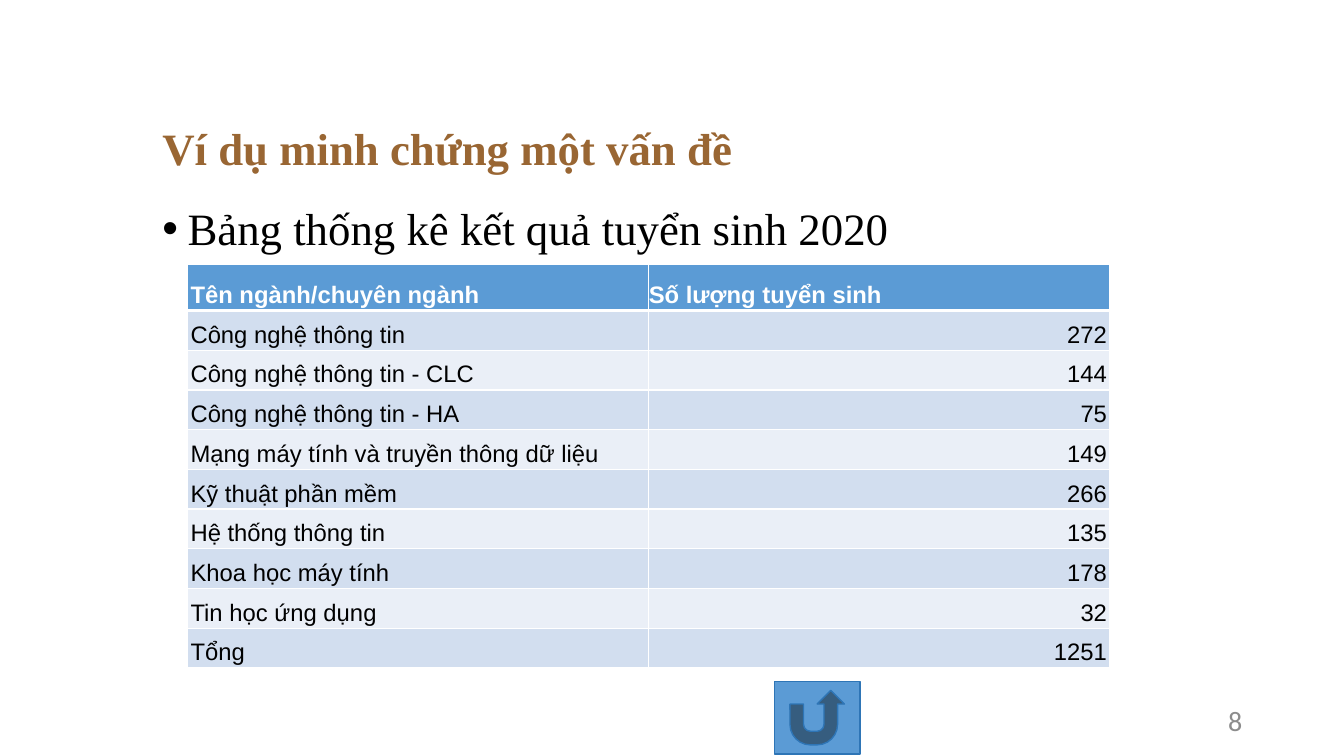
from collections import namedtuple
from dataclasses import dataclass

from lxml.etree import SubElement
from pptx import Presentation
from pptx.dml.color import RGBColor
from pptx.enum.shapes import MSO_SHAPE as Shape
from pptx.enum.text import MSO_ANCHOR as Anchor, MSO_AUTO_SIZE as AutoSize, PP_ALIGN as Align
from pptx.oxml.ns import qn
from pptx.util import Inches, Pt

Box = namedtuple("Box", "left top width height")


@dataclass(frozen=True)
class Theme:
    heading: str = "996633"
    text: str = "000000"
    white: str = "FFFFFF"
    accent: str = "5B9BD5"
    accent_line: str = "2E75B6"
    bands: tuple = ("D2DEEF", "EAEFF7")
    muted: str = "8C8C8C"
    serif: str = "Times New Roman"
    table_font: str = "Arial"
    number_font: str = "Calibri"
    large: int = 32
    table_size: int = 17
    number_size: int = 20


THEME = Theme()
ENROLMENT = [
    ("Tên ngành/chuyên ngành", "Số lượng tuyển sinh"),
    ("Công nghệ thông tin", "272"),
    ("Công nghệ thông tin - CLC", "144"),
    ("Công nghệ thông tin - HA", "75"),
    ("Mạng máy tính và truyền thông dữ liệu", "149"),
    ("Kỹ thuật phần mềm", "266"),
    ("Hệ thống thông tin", "135"),
    ("Khoa học máy tính", "178"),
    ("Tin học ứng dụng", "32"),
    ("Tổng", "1251"),
]


def inches(box):
    return [Inches(length) for length in box]


def rgb(color):
    return RGBColor.from_string(color)


def write(text_frame, text, font_name, size, color, bold=False, align=Align.LEFT):
    """Fill a text frame with one formatted paragraph and return it."""
    text_frame.text = text
    paragraph = text_frame.paragraphs[0]
    paragraph.alignment = align
    font = paragraph.runs[0].font
    font.name, font.size, font.bold = font_name, Pt(size), bold
    font.color.rgb = rgb(color)
    return paragraph


def place(shape, box):
    shape.left, shape.top, shape.width, shape.height = inches(box)
    shape.text_frame.auto_size = AutoSize.NONE


def add_title(slide, box, text):
    title = slide.shapes.title
    place(title, box)
    title.text_frame.vertical_anchor = Anchor.MIDDLE
    paragraph = write(title.text_frame, text, THEME.serif, THEME.large, THEME.heading, True)
    paragraph.line_spacing = 0.9


def add_bullet(slide, box, text):
    body = slide.placeholders[1]
    place(body, box)
    paragraph = write(body.text_frame, text, THEME.serif, THEME.large, THEME.text)
    paragraph.line_spacing = 0.9
    paragraph.space_before = Pt(10)
    properties = paragraph._p.get_or_add_pPr()
    properties.set("marL", str(Inches(0.25)))
    properties.set("indent", str(Inches(-0.25)))
    SubElement(properties, qn("a:buFont"), typeface="Arial")
    SubElement(properties, qn("a:buChar"), char="•")


def set_borders(cell, top, bottom):
    properties = cell._tc.get_or_add_tcPr()
    for side, width in (("L", 1), ("R", 1), ("T", top), ("B", bottom)):
        line = SubElement(properties, qn(f"a:ln{side}"), w=str(Pt(width)))
        fill = SubElement(line, qn("a:solidFill"))
        SubElement(fill, qn("a:srgbClr"), val=THEME.white)


def format_cell(cell, text, row, column):
    header = row == 0
    set_borders(cell, top=3 if row == 1 else 1, bottom=3 if header else 1)
    cell.fill.solid()
    cell.fill.fore_color.rgb = rgb(THEME.accent if header else THEME.bands[(row - 1) % 2])
    cell.vertical_anchor = Anchor.BOTTOM
    side_margin = 0 if header and column else 0.03
    cell.margin_left = cell.margin_right = Inches(side_margin)
    cell.margin_top = cell.margin_bottom = Inches(0.02)
    write(cell.text_frame, text, THEME.table_font, THEME.table_size,
          THEME.white if header else THEME.text, header,
          Align.RIGHT if column and not header else Align.LEFT)


def add_enrolment_table(slide, box, records, header_height=0.46):
    columns = len(records[0])
    table = slide.shapes.add_table(len(records), columns, *inches(box)).table
    for column in table.columns:
        column.width = Inches(box.width / columns)
    row_height = (box.height - header_height) / (len(records) - 1)
    for row, record in enumerate(records):
        table.rows[row].height = Inches(row_height if row else header_height)
        for column, text in enumerate(record):
            format_cell(table.cell(row, column), text, row, column)


def add_return_button(slide, box):
    button = slide.shapes.add_shape(Shape.ACTION_BUTTON_RETURN, *inches(box))
    button.shadow.inherit = False
    button.fill.solid()
    button.fill.fore_color.rgb = rgb(THEME.accent)
    button.line.color.rgb = rgb(THEME.accent_line)
    button.line.width = Pt(1)


def add_slide_number(slide, box, number):
    text_frame = slide.shapes.add_textbox(*inches(box)).text_frame
    text_frame.word_wrap = True
    text_frame.vertical_anchor = Anchor.MIDDLE
    write(text_frame, number, THEME.number_font, THEME.number_size, THEME.muted,
          align=Align.RIGHT)


def main():
    presentation = Presentation()
    presentation.slide_width, presentation.slide_height = Inches(13.33), Inches(7.5)
    slide = presentation.slides.add_slide(presentation.slide_layouts[1])
    add_title(slide, Box(1.51, 0.77, 11.5, 1.45), "Ví dụ minh chứng một vấn đề")
    add_bullet(slide, Box(1.51, 2, 11.5, 4.76), "Bảng thống kê kết quả tuyển sinh 2020")
    add_enrolment_table(slide, Box(1.86, 2.62, 9.15, 4.01), ENROLMENT)
    add_return_button(slide, Box(7.68, 6.76, 0.85, 0.72))
    add_slide_number(slide, Box(9.42, 6.95, 3, 0.4), "8")
    presentation.save("out.pptx")


if __name__ == "__main__":
    main()
